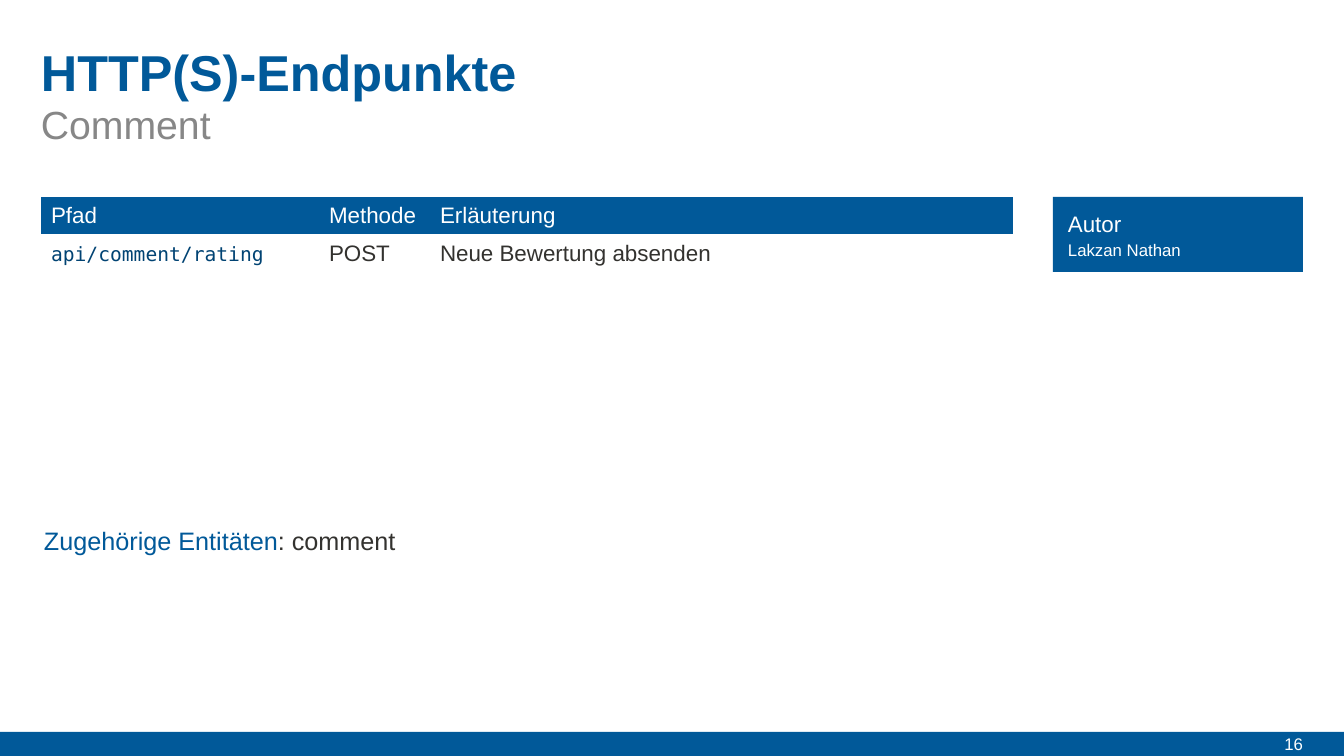
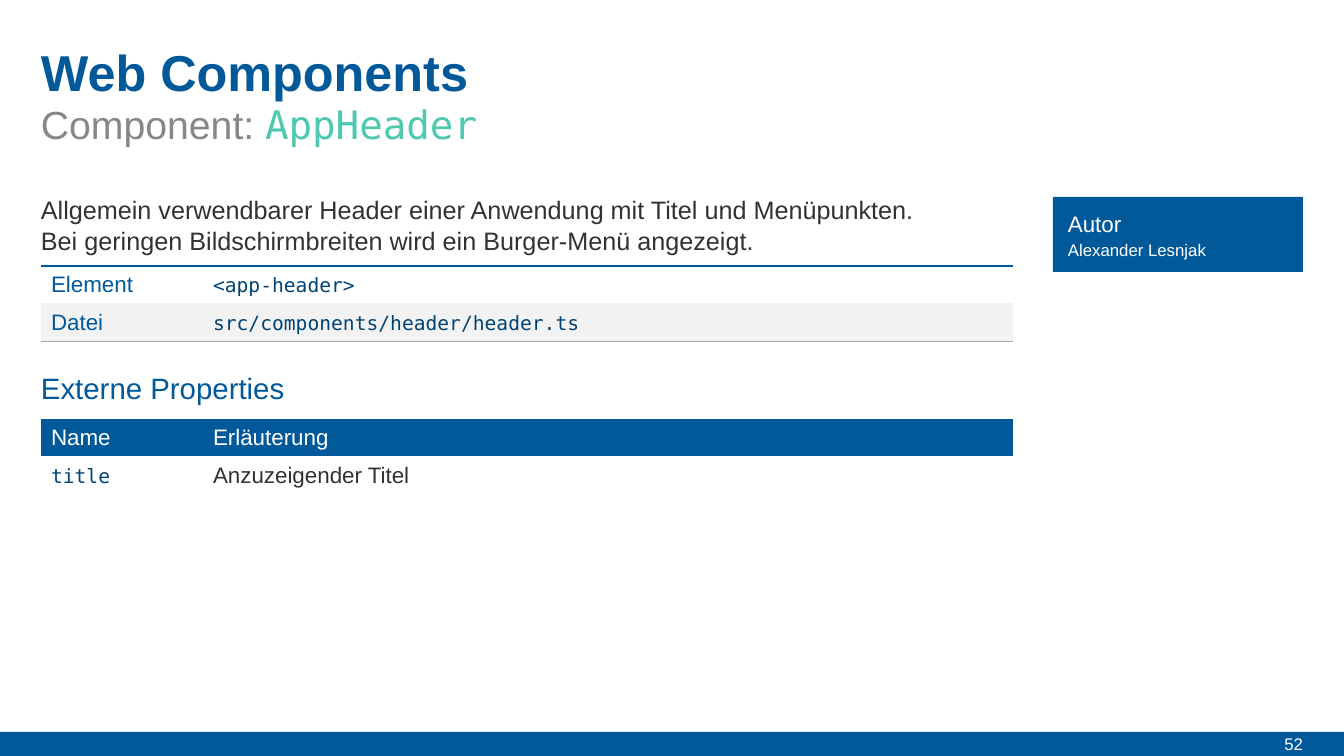
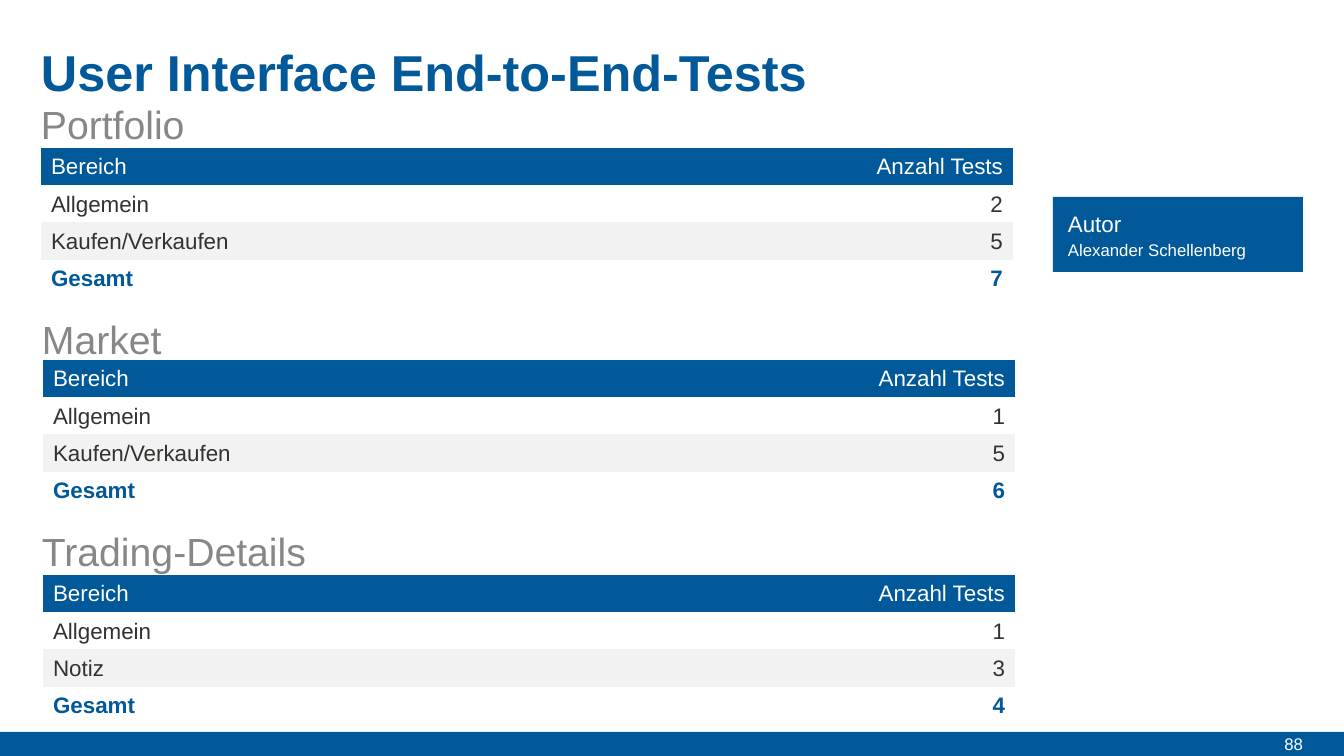
from dataclasses import dataclass, replace

from lxml.etree import SubElement
from pptx import Presentation
from pptx.dml.color import RGBColor
from pptx.enum.shapes import MSO_SHAPE
from pptx.enum.text import MSO_ANCHOR, PP_ALIGN
from pptx.oxml.ns import qn
from pptx.util import Emu, Pt

BLUE = RGBColor(0x01, 0x59, 0x99)
DARK_BLUE = RGBColor(0x01, 0x43, 0x73)
GREEN = RGBColor(0x4E, 0xC9, 0xB0)
INK = RGBColor(0x33, 0x32, 0x2F)
GRAY = RGBColor(0x87, 0x87, 0x87)
RULE_GRAY = RGBColor(0xA9, 0xA9, 0xA9)
BAND_GRAY = RGBColor(0xF2, 0xF2, 0xF2)
WHITE = RGBColor(0xFF, 0xFF, 0xFF)

SANS = "Arial"
MONO = "DejaVu Sans Mono"
PLAIN_TABLE_STYLE = "{2D5ABB26-0587-4C30-8999-92F81FD0307C}"

EMU_PER_PX = 914400 / 100.8
SLIDE_WIDTH, SLIDE_HEIGHT = 1344, 756
MARGIN = 41
CONTENT_WIDTH = 973
FOOTER_HEIGHT = 24


@dataclass(frozen=True)
class TextStyle:
    size: int
    color: RGBColor
    font: str = SANS
    bold: bool = False
    spacing: object = None


TITLE = TextStyle(36, BLUE, bold=True)
SUBTITLE = TextStyle(28, GRAY, spacing=1.1)
HEADING = TextStyle(21, BLUE, spacing=Pt(25))
BODY = TextStyle(18, INK, spacing=Pt(22))
CELL = TextStyle(16, INK, spacing=Pt(19))
CELL_HEADER = replace(CELL, color=WHITE)
CELL_LABEL = replace(CELL, color=BLUE)
CELL_TOTAL = replace(CELL_LABEL, bold=True)
CELL_CODE = replace(CELL, size=14, color=DARK_BLUE, font=MONO)
SMALL = TextStyle(12, WHITE, spacing=Pt(14))
PAGE_NUMBER = replace(SMALL, spacing=None)


def px(length):
    return Emu(round(length * EMU_PER_PX))


def format_run(run, style):
    run.font.size = Pt(style.size)
    run.font.name = style.font
    run.font.bold = style.bold
    run.font.color.rgb = style.color


def write(paragraph, text, style, align=PP_ALIGN.LEFT):
    paragraph.text = text
    paragraph.alignment = align
    if style.spacing:
        paragraph.line_spacing = style.spacing
    for run in paragraph.runs:
        format_run(run, style)


def append_run(paragraph, text, style):
    run = paragraph.add_run()
    run.text = text
    format_run(run, style)


def add_cell_border(cell, side, color, width):
    """Draw one side of a cell; side is T, B, L or R."""
    properties = cell._tc.get_or_add_tcPr()
    line = SubElement(properties, qn(f"a:ln{side}"), w=str(Pt(width)))
    fill = SubElement(line, qn("a:solidFill"))
    SubElement(fill, qn("a:srgbClr"), val=str(color))
    properties.insert(0, line)


class Deck:
    def __init__(self):
        self.presentation = Presentation()
        self.presentation.slide_width = px(SLIDE_WIDTH)
        self.presentation.slide_height = px(SLIDE_HEIGHT)
        self.slide = None

    def new_slide(self, number, title, subtitle, author):
        """Start a slide with its shared parts and return the subtitle paragraph."""
        self.slide = self.presentation.slides.add_slide(self.presentation.slide_layouts[6])
        footer_top = SLIDE_HEIGHT - FOOTER_HEIGHT
        self.rectangle(0, footer_top, SLIDE_WIDTH, FOOTER_HEIGHT)
        self.text(1228, footer_top, 75, FOOTER_HEIGHT, str(number), PAGE_NUMBER,
                  PP_ALIGN.RIGHT, MSO_ANCHOR.MIDDLE)
        self.text(MARGIN, 41, CONTENT_WIDTH, 62, title, TITLE)
        self.rectangle(1053, 197, 250, 75)
        self.text(1068, 210, 219, 27, "Autor", CELL_HEADER)
        self.text(1068, 240, 219, 20, author, SMALL)
        return self.subtitle(MARGIN, 96, subtitle)

    def rectangle(self, left, top, width, height):
        shape = self.slide.shapes.add_shape(
            MSO_SHAPE.RECTANGLE, px(left), px(top), px(width), px(height))
        shape.shadow.inherit = False
        shape.fill.solid()
        shape.fill.fore_color.rgb = BLUE
        shape.line.fill.background()

    def text(self, left, top, width, height, text, style,
             align=PP_ALIGN.LEFT, anchor=MSO_ANCHOR.TOP):
        shape = self.slide.shapes.add_textbox(px(left), px(top), px(width), px(height))
        frame = shape.text_frame
        frame.word_wrap = True
        frame.vertical_anchor = anchor
        frame.margin_left = frame.margin_right = frame.margin_top = frame.margin_bottom = 0
        paragraph = frame.paragraphs[0]
        write(paragraph, text, style, align)
        return paragraph

    def subtitle(self, left, top, text):
        return self.text(left, top, CONTENT_WIDTH, 55, text, SUBTITLE)

    def table(self, left, top, height, widths, rows, styles,
              has_header=True, has_total=False, last_align=PP_ALIGN.LEFT):
        """Add a banded table; styles holds one text style per column."""
        frame = self.slide.shapes.add_table(
            len(rows), len(widths), px(left), px(top), px(sum(widths)), px(height))
        next(frame.element.iter(qn("a:tableStyleId"))).text = PLAIN_TABLE_STYLE
        table = frame.table
        table.first_row = has_header
        table.horz_banding = False
        for column, width in zip(table.columns, widths):
            column.width = px(width)
        for row_index, row in enumerate(rows):
            is_header = has_header and row_index == 0
            is_total = has_total and row_index == len(rows) - 1
            is_band = (row_index - has_header) % 2 == 1
            for column_index, text in enumerate(row):
                cell = table.cell(row_index, column_index)
                style = styles[column_index]
                if is_header:
                    style = CELL_HEADER
                elif is_total:
                    style = CELL_TOTAL
                is_last = column_index == len(row) - 1
                write(cell.text_frame.paragraphs[0], text, style,
                      last_align if is_last else PP_ALIGN.LEFT)
                cell.fill.solid()
                cell.fill.fore_color.rgb = (
                    BLUE if is_header else BAND_GRAY if is_band else WHITE)
        return table

    def property_table(self, top, rows):
        """Add a table without header, between a thick and a thin rule."""
        table = self.table(MARGIN, top, 75, (162, 810), rows, (CELL_LABEL, CELL_CODE),
                           has_header=False)
        for column_index in range(2):
            add_cell_border(table.cell(0, column_index), "T", BLUE, 2)
            add_cell_border(table.cell(len(rows) - 1, column_index), "B", RULE_GRAY, 0.5)

    def test_table(self, left, top, counts):
        """Add the number of tests per area, with their sum."""
        rows = [("Bereich", "Anzahl Tests")]
        rows += [(area, str(count)) for area, count in counts.items()]
        rows.append(("Gesamt", str(sum(counts.values()))))
        self.table(left, top, 149, (486, 486), rows, (CELL, CELL),
                   has_total=True, last_align=PP_ALIGN.RIGHT)


def add_endpoints_slide(deck):
    deck.new_slide(16, "HTTP(S)-Endpunkte", "Comment", "Lakzan Nathan")
    deck.table(MARGIN, 197, 75, (278, 111, 583),
               [("Pfad", "Methode", "Erläuterung"),
                ("api/comment/rating", "POST", "Neue Bewertung absenden")],
               (CELL_CODE, CELL, CELL))
    entities = deck.text(44, 525, CONTENT_WIDTH, 30, "Zugehörige Entitäten",
                         replace(BODY, color=BLUE))
    append_run(entities, ": comment", BODY)


def add_component_slide(deck):
    subtitle = deck.new_slide(52, "Web Components", "Component: ", "Alexander Lesnjak")
    append_run(subtitle, "AppHeader", replace(SUBTITLE, color=GREEN, font=MONO))
    deck.text(MARGIN, 194, CONTENT_WIDTH, 60,
              "Allgemein verwendbarer Header einer Anwendung mit Titel und Menüpunkten.\n"
              "Bei geringen Bildschirmbreiten wird ein Burger-Menü angezeigt.", BODY)
    deck.property_table(266, [("Element", "<app-header>"),
                              ("Datei", "src/components/header/header.ts")])
    deck.text(MARGIN, 370, CONTENT_WIDTH, 35, "Externe Properties", HEADING)
    deck.table(MARGIN, 419, 75, (162, 810),
               [("Name", "Erläuterung"), ("title", "Anzuzeigender Titel")],
               (CELL_CODE, CELL))


def add_tests_slide(deck):
    deck.new_slide(88, "User Interface End-to-End-Tests", "Portfolio",
                   "Alexander Schellenberg")
    deck.test_table(MARGIN, 148, {"Allgemein": 2, "Kaufen/Verkaufen": 5})
    deck.subtitle(42, 311, "Market")
    deck.test_table(43, 360, {"Allgemein": 1, "Kaufen/Verkaufen": 5})
    deck.subtitle(42, 523, "Trading-Details")
    deck.test_table(43, 575, {"Allgemein": 1, "Notiz": 3})


def main():
    deck = Deck()
    add_endpoints_slide(deck)
    add_component_slide(deck)
    add_tests_slide(deck)
    deck.presentation.save("out.pptx")


if __name__ == "__main__":
    main()
